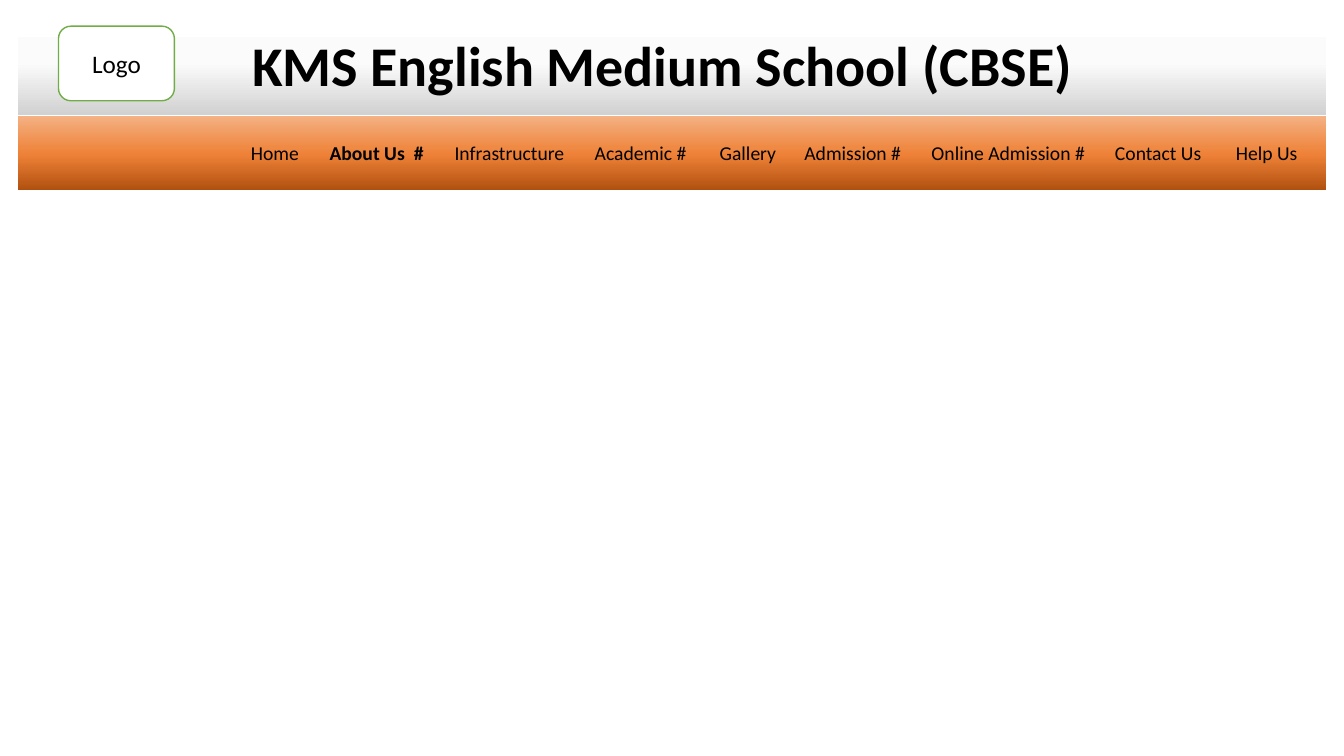
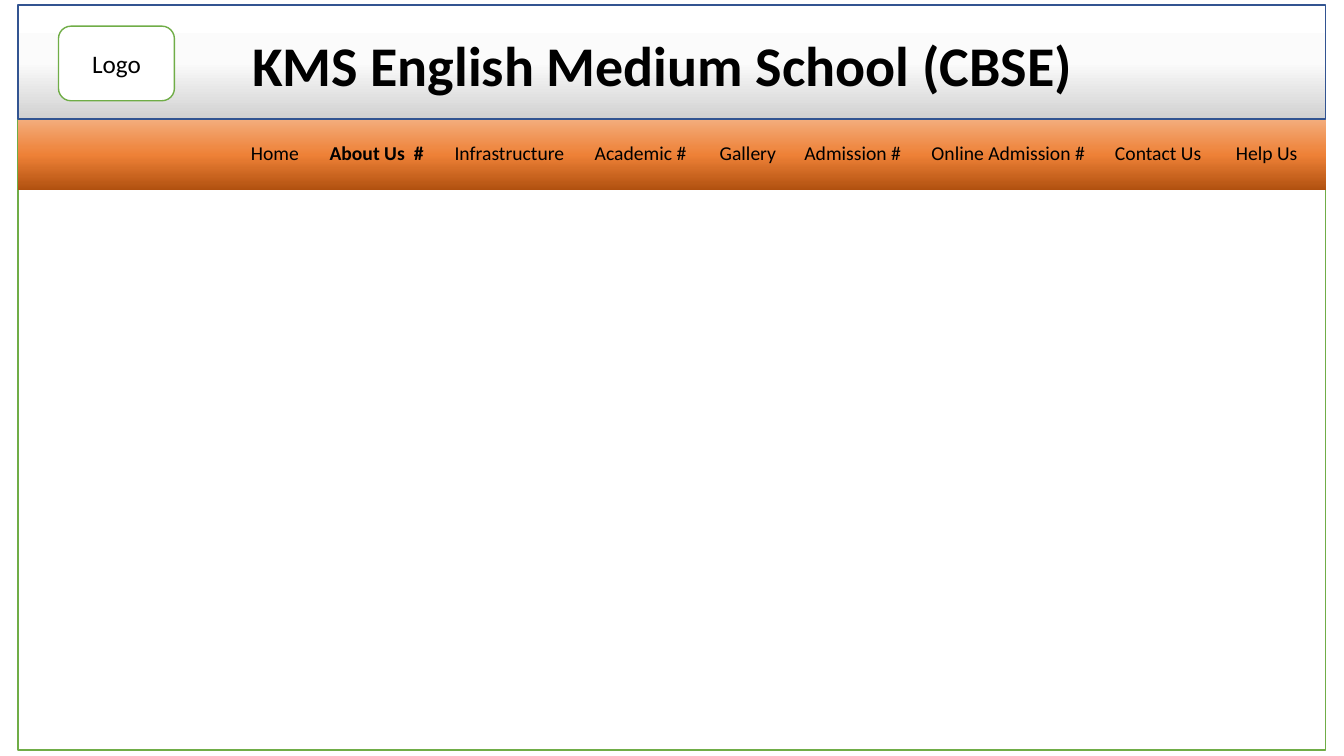
from copy import deepcopy

from pptx import Presentation
from pptx.dml.color import RGBColor
from pptx.enum.shapes import MSO_SHAPE
from pptx.enum.text import MSO_ANCHOR, MSO_AUTO_SIZE, PP_ALIGN
from pptx.oxml.ns import qn
from pptx.util import Inches, Pt

RECTANGLE = MSO_SHAPE.RECTANGLE
ROUNDED = MSO_SHAPE.ROUNDED_RECTANGLE
LEFT, CENTER = PP_ALIGN.LEFT, PP_ALIGN.CENTER
TOP, MIDDLE = MSO_ANCHOR.TOP, MSO_ANCHOR.MIDDLE
NO_AUTOFIT = MSO_AUTO_SIZE.NONE

BLACK = RGBColor(0x00, 0x00, 0x00)
WHITE = RGBColor(0xFF, 0xFF, 0xFF)
GREEN = RGBColor(0x70, 0xAD, 0x47)
BLUE = RGBColor(0x32, 0x54, 0x91)
OFF_WHITE = RGBColor(0xFB, 0xFB, 0xFB)
GREY = RGBColor(0xD1, 0xD1, 0xD1)
LIGHT_ORANGE = RGBColor(0xF4, 0xB1, 0x83)
ORANGE = RGBColor(0xEE, 0x81, 0x37)
DARK_ORANGE = RGBColor(0xB0, 0x50, 0x0F)

HEADER_STOPS = [(0, WHITE), (0.5, OFF_WHITE), (1, GREY)]
MENU_STOPS = [(0, LIGHT_ORANGE), (0.52, ORANGE), (1, DARK_ORANGE)]

FONT = "Calibri"
BAND_LEFT, BAND_WIDTH = 0.18, 12.97
MENU = [
    ("Home", 2.39, 0.69),
    ("About Us  #", 3.17, 1.16),
    ("Infrastructure", 4.41, 1.3),
    ("Academic #", 5.8, 1.15),
    ("Gallery", 7.04, 0.84),
    ("Admission #", 7.88, 1.16),
    ("Online Admission #", 9.14, 1.74),
    ("Contact Us", 10.96, 1.11),
    ("Help Us", 12.16, 0.84),
]
ACTIVE = "About Us  #"
PAGES = [
    {"framed": False, "header_top": 0.11, "header_height": 1.03},
    {"framed": True, "header_top": 0.05, "header_height": 1.13},
]


def add_panel(page, kind, left, top, width, height, line=None, stops=None):
    panel = page.shapes.add_shape(kind, Inches(left), Inches(top), Inches(width), Inches(height))
    panel.shadow.inherit = False
    if stops:
        panel.fill.gradient()
        panel.fill.gradient_angle = 270
        stop_list = panel.element.spPr.find(".//" + qn("a:gsLst"))
        stop_list.append(deepcopy(stop_list[0]))
        for stop, (position, color) in zip(panel.fill.gradient_stops, stops):
            stop.position = position
            stop.color.rgb = color
    else:
        panel.fill.solid()
        panel.fill.fore_color.rgb = WHITE
    if line is None:
        panel.line.fill.background()
    else:
        panel.line.color.rgb = line
        panel.line.width = Pt(1)
    return panel


def write_text(box, text, size, bold=False, align=LEFT, anchor=TOP):
    frame = box.text_frame
    frame.word_wrap = True
    frame.auto_size = NO_AUTOFIT
    frame.vertical_anchor = anchor
    frame.text = text
    para = frame.paragraphs[0]
    para.alignment = align
    para.font.name = FONT
    para.font.size = Pt(size)
    para.font.bold = bold
    para.font.color.rgb = BLACK


deck = Presentation()
deck.slide_width = Inches(13.33)
deck.slide_height = Inches(7.5)
title_only = deck.slide_layouts[5]

for settings in PAGES:
    page = deck.slides.add_slide(title_only)
    if settings["framed"]:
        add_panel(page, RECTANGLE, BAND_LEFT, 0.07, BAND_WIDTH, 7.37, line=GREEN)

    add_panel(page, RECTANGLE, BAND_LEFT, 1.15, BAND_WIDTH, 0.74, stops=MENU_STOPS)
    for label, left, width in MENU:
        box = page.shapes.add_textbox(Inches(left), Inches(1.35), Inches(width), Inches(0.34))
        write_text(box, label, 14, bold=label == ACTIVE)

    add_panel(page, RECTANGLE, BAND_LEFT, settings["header_top"], BAND_WIDTH,
              settings["header_height"], line=BLUE if settings["framed"] else None,
              stops=HEADER_STOPS)
    logo = add_panel(page, ROUNDED, 0.58, 0.26, 1.15, 0.74, line=GREEN)
    write_text(logo, "Logo", 18, align=CENTER, anchor=MIDDLE)

    title = page.shapes.title
    title.left, title.top = Inches(2.4), Inches(0.25)
    title.width, title.height = Inches(8.81), Inches(0.77)
    write_text(title, "KMS English Medium School (CBSE)", 40, bold=True)
    title.element.getparent().append(title.element)

deck.save("out.pptx")
